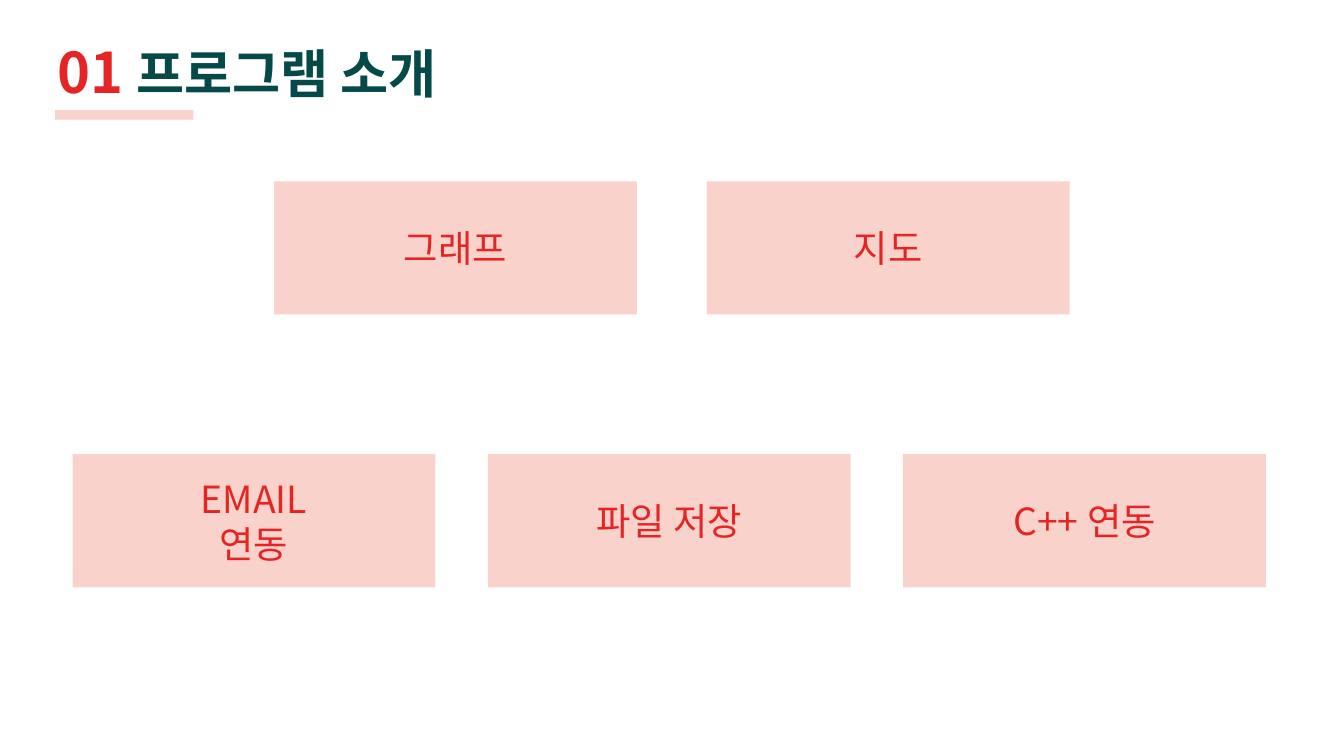
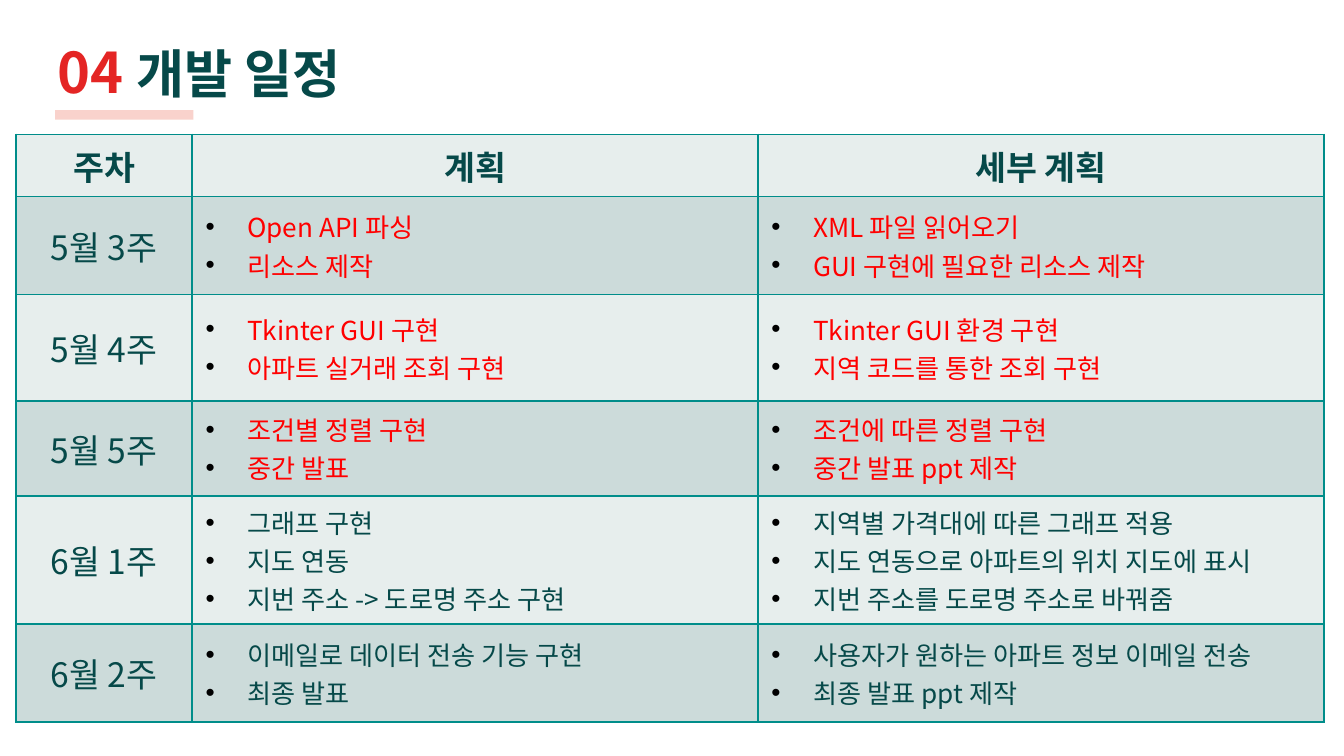
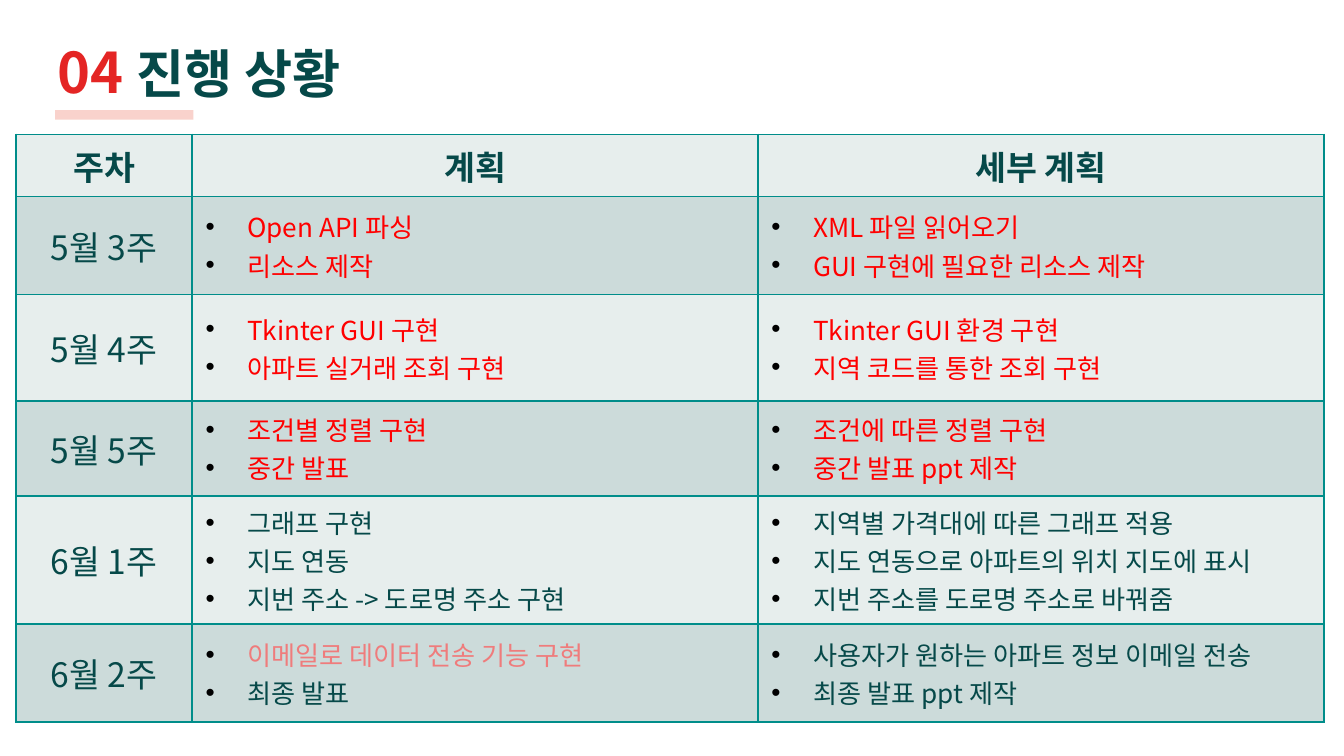
from lxml import etree
from pptx import Presentation
from pptx.dml.color import RGBColor
from pptx.enum.shapes import MSO_SHAPE
from pptx.enum.text import MSO_ANCHOR, MSO_AUTO_SIZE, PP_ALIGN
from pptx.oxml.ns import qn
from pptx.util import Inches, Pt

FONT = "Noto Sans CJK KR"
COLORS = {
    "accent": "E42524",
    "pink": "F4AA9E",
    "dark": "064949",
    "done": "FF0000",
    "in_progress": "EF7C7C",
    "border": "008D8A",
    "light_row": "E7EEED",
    "dark_row": "CCDBDA",
    "bullet": "000000",
}

# Feature boxes: first left edge, top, step, labels
FEATURE_ROWS = [
    (2.04, 1.35, 3.22, ["그래프", "지도"]),
    (0.54, 3.38, 3.09, ["EMAIL\n연동", "파일 저장", "C++ 연동"]),
]

# Schedule: week, finished or not, plans, details
HEADINGS = ["주차", "계획", "세부 계획"]
EMAIL_TASK = "이메일로 데이터 전송 기능 구현"
SCHEDULE = [
    ("5월 3주", True, ["Open API 파싱", "리소스 제작"],
     ["XML 파일 읽어오기", "GUI 구현에 필요한 리소스 제작"]),
    ("5월 4주", True, ["Tkinter GUI 구현", "아파트 실거래 조회 구현"],
     ["Tkinter GUI 환경 구현", "지역 코드를 통한 조회 구현"]),
    ("5월 5주", True, ["조건별 정렬 구현", "중간 발표"],
     ["조건에 따른 정렬 구현", "중간 발표 ppt 제작"]),
    ("6월 1주", False, ["그래프 구현", "지도 연동", "지번 주소 -> 도로명 주소 구현"],
     ["지역별 가격대에 따른 그래프 적용", "지도 연동으로 아파트의 위치 지도에 표시",
      "지번 주소를 도로명 주소로 바꿔줌"]),
    ("6월 2주", False, [EMAIL_TASK, "최종 발표"],
     ["사용자가 원하는 아파트 정보 이메일 전송", "최종 발표 ppt 제작"]),
]
COLUMN_WIDTHS = [1.31, 4.21, 4.21]
ROW_HEIGHTS = [0.45, 0.73, 0.79, 0.71, 0.73, 0.73]


def rgb(name):
    return RGBColor.from_string(COLORS[name])


def add_run(paragraph, text, size, color, bold=False):
    run = paragraph.add_run()
    run.text = text
    run.font.size = Pt(size)
    run.font.bold = bold
    run.font.name = FONT
    run.font.color.rgb = rgb(color)
    # Hangul takes the East Asian typeface, without pair kerning
    properties = run.font._element
    properties.set("kern", "0")
    etree.SubElement(properties, qn("a:ea"), typeface=FONT)


def add_paragraphs(text_frame, lines, alignment):
    """Yield one aligned paragraph with its text for each line."""
    for index, line in enumerate(lines):
        paragraph = text_frame.add_paragraph() if index else text_frame.paragraphs[0]
        paragraph.alignment = alignment
        yield paragraph, line


def set_margins(text_frame):
    text_frame.margin_left = text_frame.margin_right = Inches(0.1)
    text_frame.margin_top = text_frame.margin_bottom = Inches(0.1)


def add_pink_box(slide, left, top, width, height):
    shape = slide.shapes.add_shape(
        MSO_SHAPE.RECTANGLE, Inches(left), Inches(top), Inches(width), Inches(height))
    shape.shadow.inherit = False
    shape.line.fill.background()
    shape.fill.solid()
    shape.fill.fore_color.rgb = rgb("pink")
    color = shape._element.spPr.find(qn("a:solidFill"))[0]
    etree.SubElement(color, qn("a:alpha")).set("val", "52000")
    return shape


def add_titled_slide(presentation, number, title_text):
    slide = presentation.slides.add_slide(presentation.slide_layouts[5])
    title = slide.shapes.title
    title.left, title.top = Inches(0.33), Inches(0.18)
    title.width, title.height = Inches(9.32), Inches(0.63)
    text_frame = title.text_frame
    text_frame.auto_size = MSO_AUTO_SIZE.NONE
    text_frame.vertical_anchor = MSO_ANCHOR.TOP
    set_margins(text_frame)
    paragraph = text_frame.paragraphs[0]
    paragraph.alignment = PP_ALIGN.LEFT
    add_run(paragraph, number + " ", 30, "accent", bold=True)
    add_run(paragraph, title_text, 28, "dark", bold=True)
    # Underline below the number
    add_pink_box(slide, 0.41, 0.82, 1.03, 0.07)
    return slide


def add_feature_box(slide, left, top, label):
    text_frame = add_pink_box(slide, left, top, 2.7, 0.99).text_frame
    text_frame.word_wrap = True
    text_frame.vertical_anchor = MSO_ANCHOR.MIDDLE
    set_margins(text_frame)
    for paragraph, line in add_paragraphs(text_frame, label.split("\n"), PP_ALIGN.CENTER):
        add_run(paragraph, line, 20, "accent")


def style_cell(cell, fill):
    cell.vertical_anchor = MSO_ANCHOR.MIDDLE
    properties = cell._tc.get_or_add_tcPr()
    for side in ("lnL", "lnR", "lnT", "lnB"):
        line = etree.SubElement(properties, qn("a:" + side), w=str(Pt(1)))
        line_fill = etree.SubElement(line, qn("a:solidFill"))
        etree.SubElement(line_fill, qn("a:srgbClr"), val=COLORS["border"])
    cell.fill.solid()
    cell.fill.fore_color.rgb = rgb(fill)


def add_bullet(paragraph):
    properties = paragraph._p.get_or_add_pPr()
    properties.set("marL", str(Inches(0.31)))
    properties.set("indent", str(-Inches(0.31)))
    color = etree.SubElement(properties, qn("a:buClr"))
    etree.SubElement(color, qn("a:srgbClr"), val=COLORS["bullet"])
    etree.SubElement(properties, qn("a:buFont"), typeface="Arial")
    etree.SubElement(properties, qn("a:buChar"), char="•")


def fill_label_cell(cell, text, bold=False):
    paragraph = cell.text_frame.paragraphs[0]
    paragraph.alignment = PP_ALIGN.CENTER
    add_run(paragraph, text, 18, "dark", bold)


def fill_task_cell(cell, tasks, color, in_progress):
    for paragraph, task in add_paragraphs(cell.text_frame, tasks, PP_ALIGN.JUSTIFY):
        add_bullet(paragraph)
        add_run(paragraph, task, 14, "in_progress" if task == in_progress else color)


def add_schedule(slide, in_progress=None):
    table = slide.shapes.add_table(
        len(ROW_HEIGHTS), len(COLUMN_WIDTHS), Inches(0.12), Inches(1),
        Inches(sum(COLUMN_WIDTHS)), Inches(sum(ROW_HEIGHTS))).table
    for column, width in zip(table.columns, COLUMN_WIDTHS):
        column.width = Inches(width)
    for index, (row, height) in enumerate(zip(table.rows, ROW_HEIGHTS)):
        row.height = Inches(height)
        for cell in row.cells:
            style_cell(cell, "dark_row" if index % 2 else "light_row")
    # Header row
    for column, heading in enumerate(HEADINGS):
        fill_label_cell(table.cell(0, column), heading, bold=True)
    # Week rows
    for row, (week, finished, plans, details) in enumerate(SCHEDULE, start=1):
        color = "done" if finished else "dark"
        fill_label_cell(table.cell(row, 0), week)
        fill_task_cell(table.cell(row, 1), plans, color, in_progress)
        fill_task_cell(table.cell(row, 2), details, color, in_progress)


def main():
    # Widescreen, 16 to 9
    presentation = Presentation()
    presentation.slide_width = Inches(10)
    presentation.slide_height = Inches(10) * 9 // 16

    # Program introduction
    slide = add_titled_slide(presentation, "01", "프로그램 소개")
    for left, top, step, labels in FEATURE_ROWS:
        for index, label in enumerate(labels):
            add_feature_box(slide, left + index * step, top, label)

    # Development schedule
    add_schedule(add_titled_slide(presentation, "04", "개발 일정"))

    # Progress
    add_schedule(add_titled_slide(presentation, "04", "진행 상황"), in_progress=EMAIL_TASK)

    presentation.save("out.pptx")


if __name__ == "__main__":
    main()
